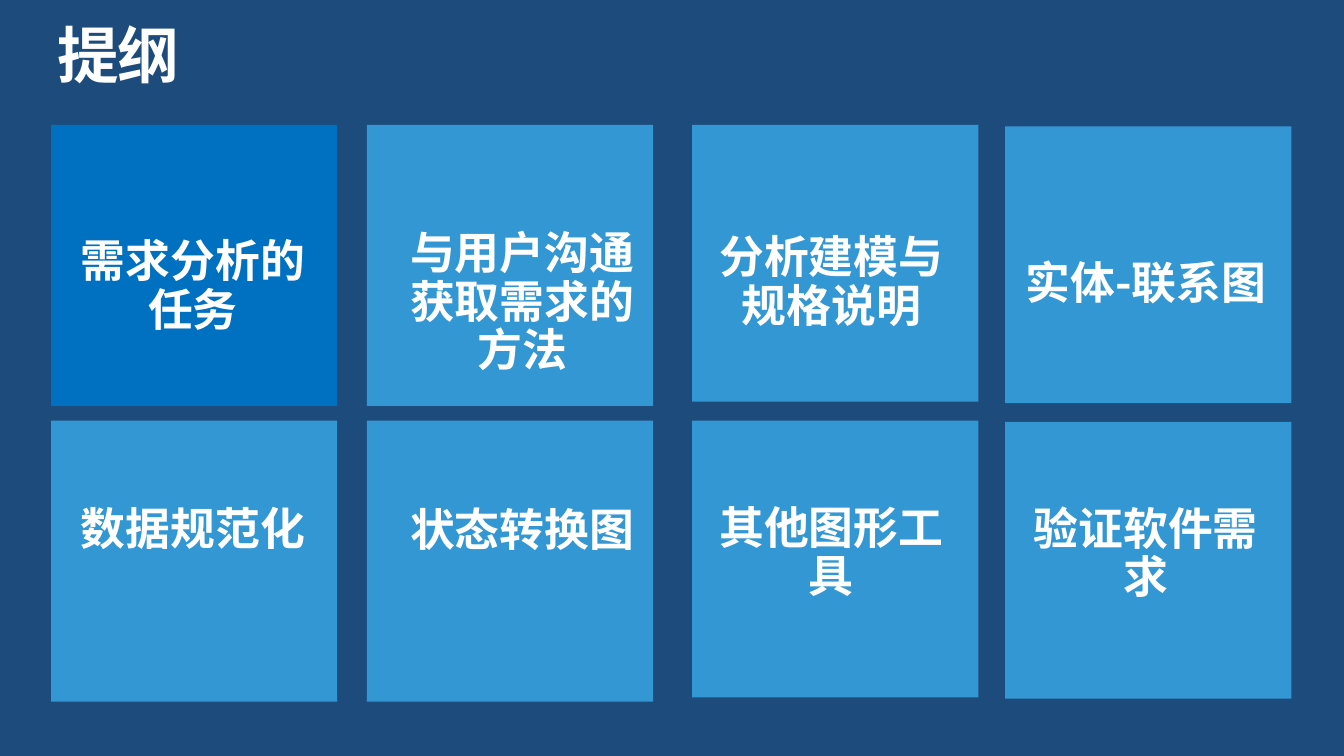
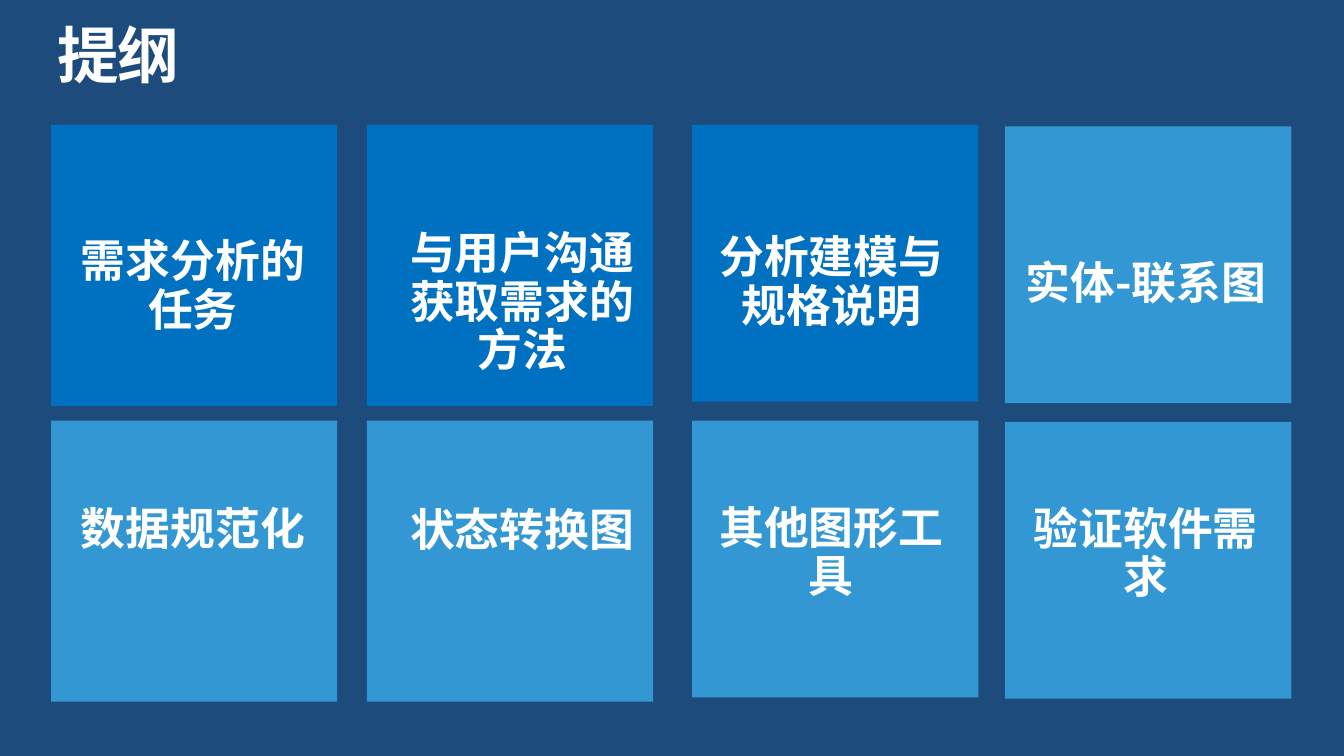
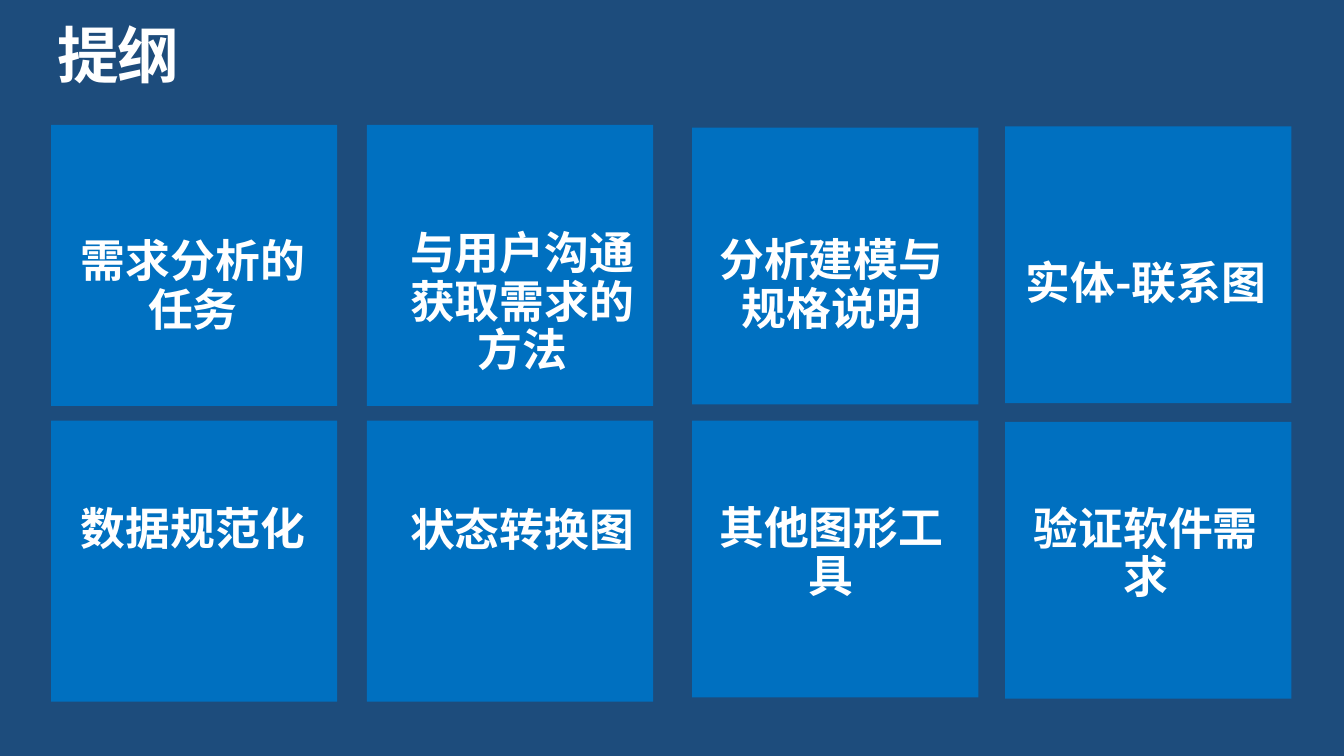
from dataclasses import dataclass

import pptx
import pptx.dml.color
import pptx.enum.shapes
import pptx.enum.text
import pptx.oxml.ns
import pptx.shapes.autoshape
import pptx.shapes.group
import pptx.slide
import pptx.text.text
import pptx.util
from lxml import etree

Inches = pptx.util.Inches
RGBColor = pptx.dml.color.RGBColor
PP_ALIGN = pptx.enum.text.PP_ALIGN
MSO_ANCHOR = pptx.enum.text.MSO_ANCHOR
qn = pptx.oxml.ns.qn

NAVY = RGBColor(0x1D, 0x4C, 0x7C)
DONE_BLUE = RGBColor(0x00, 0x70, 0xC0)
OPEN_BLUE = RGBColor(0x33, 0x97, 0xD3)
WHITE = RGBColor(0xFF, 0xFF, 0xFF)
FONT = "Noto Sans CJK SC"

TITLE_ONLY = 5
TILE_WIDTH = 2.13
LABEL_WIDTH = 1.79
LINE_HEIGHT = 0.36
ROW_TOPS = (0.93, 3.13)


@dataclass(frozen=True)
class Column:
    left: float
    label_left: float
    height: float
    drop: float = 0


@dataclass(frozen=True)
class Topic:
    text: str
    column: int
    row: int
    label_top: float
    lines: int
    fills_label: bool = True


@dataclass(frozen=True)
class Outline:
    done: int
    lowered: tuple[int, ...] = ()


COLUMNS = (
    Column(0.38, 0.54, 2.09),
    Column(2.73, 2.99, 2.09),
    Column(5.15, 5.29, 2.06),
    Column(7.48, 7.63, 2.06, 0.01),
)

TOPICS = (
    Topic("需求分析的任务", 0, 0, 1.78, 2),
    Topic("与用户沟通获取需求的方法", 1, 0, 1.72, 3),
    Topic("分析建模与规格说明", 2, 0, 1.75, 2),
    Topic("数据规范化", 0, 1, 3.77, 1),
    Topic("状态转换图", 1, 1, 3.78, 1),
    Topic("其他图形工具", 2, 1, 3.76, 2, fills_label=False),
    Topic("实体-联系图", 3, 0, 1.76, 2),
    Topic("验证软件需求", 3, 1, 3.77, 2, fills_label=False),
)

OUTLINES = (Outline(1), Outline(3), Outline(len(TOPICS), lowered=(2,)))


def write_text(tf: pptx.text.text.TextFrame, text: str, size: int,
               align: PP_ALIGN, anchor: MSO_ANCHOR, spacing: int = 0) -> None:
    tf.word_wrap = True
    tf.auto_size = pptx.enum.text.MSO_AUTO_SIZE.SHAPE_TO_FIT_TEXT
    tf.vertical_anchor = anchor
    tf.margin_left = tf.margin_top = tf.margin_right = tf.margin_bottom = 0
    p = tf.paragraphs[0]
    p.text = text
    p.alignment = align
    p.line_spacing = 0.9
    p.space_before = pptx.util.Pt(0)
    p.font.size = pptx.util.Pt(size)
    p.font.bold = True
    p.font.color.rgb = WHITE
    p.font.name = FONT
    props = p._p.get_or_add_pPr().find(qn("a:defRPr"))
    etree.SubElement(props, qn("a:ea")).set("typeface", FONT)
    if spacing:
        props.set("spc", str(spacing))


def add_title(s: pptx.slide.Slide) -> None:
    title = s.shapes.title
    title.left, title.top = Inches(0.43), Inches(0.19)
    title.width, title.height = Inches(9.15), Inches(0.5)
    write_text(title.text_frame, "提纲", 33, PP_ALIGN.LEFT, MSO_ANCHOR.TOP, -80)


def add_rect(group: pptx.shapes.group.GroupShape, box: tuple[int, ...],
             color: RGBColor) -> pptx.shapes.autoshape.Shape:
    sp = group.shapes.add_shape(pptx.enum.shapes.MSO_SHAPE.RECTANGLE, *box)
    sp.shadow.inherit = False
    sp.fill.solid()
    sp.fill.fore_color.rgb = color
    sp.line.fill.background()
    return sp


def add_topic(s: pptx.slide.Slide, topic: Topic, done: bool, shift: float) -> None:
    column = COLUMNS[topic.column]
    group = s.shapes.add_group_shape()
    tile_box = (Inches(column.left), Inches(ROW_TOPS[topic.row] + column.drop + shift),
                Inches(TILE_WIDTH), Inches(column.height))
    add_rect(group, tile_box, DONE_BLUE if done else OPEN_BLUE)
    label_box = (Inches(column.label_left), Inches(topic.label_top + shift),
                 Inches(LABEL_WIDTH), Inches(topic.lines * LINE_HEIGHT))
    if done and topic.fills_label:
        label = add_rect(group, label_box, DONE_BLUE)
    else:
        label = group.shapes.add_textbox(*label_box)
    write_text(label.text_frame, topic.text, 24, PP_ALIGN.CENTER, MSO_ANCHOR.MIDDLE)


def main() -> None:
    prs = pptx.Presentation()
    prs.slide_width = Inches(10)
    prs.slide_height = prs.slide_width * 9 // 16
    background = prs.slide_master.background.fill
    background.solid()
    background.fore_color.rgb = NAVY
    for outline in OUTLINES:
        s = prs.slides.add_slide(prs.slide_layouts[TITLE_ONLY])
        add_title(s)
        for i, topic in enumerate(TOPICS):
            add_topic(s, topic, i < outline.done, 0.02 if i in outline.lowered else 0)
    prs.save("out.pptx")


if __name__ == "__main__":
    main()
